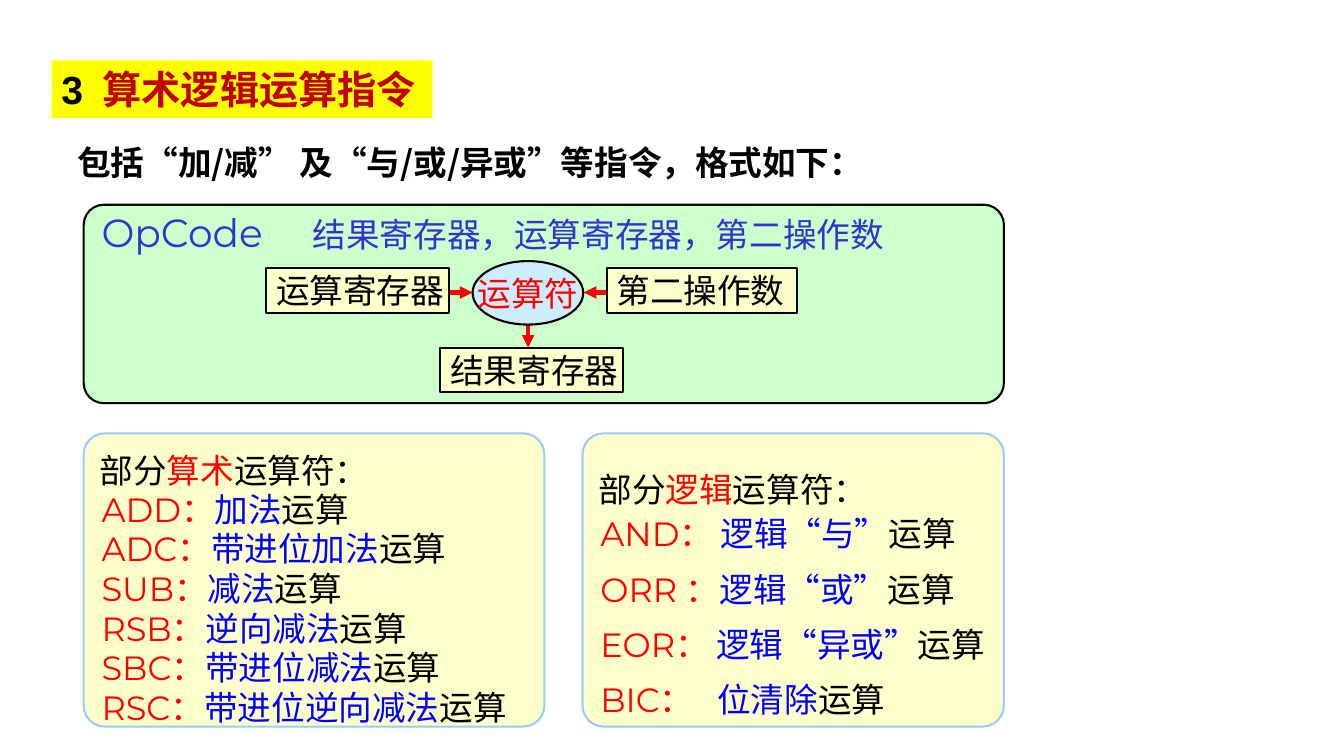
from lxml.etree import SubElement
from pptx import Presentation
from pptx.dml.color import RGBColor
from pptx.enum.shapes import MSO_CONNECTOR, MSO_SHAPE
from pptx.enum.text import MSO_ANCHOR, PP_ALIGN
from pptx.oxml.ns import qn
from pptx.util import Cm, Pt

BLACK = RGBColor(0x00, 0x00, 0x00)
RED = RGBColor(0xFF, 0x00, 0x00)
DARK_RED = RGBColor(0xC0, 0x00, 0x00)
BLUE = RGBColor(0x00, 0x00, 0xFF)
INDIGO = RGBColor(0x33, 0x33, 0xCC)
YELLOW = RGBColor(0xFF, 0xFF, 0x00)
CREAM = RGBColor(0xFF, 0xFF, 0xCC)
GREEN = RGBColor(0xCC, 0xFF, 0xCC)
PALE_BLUE = RGBColor(0xCC, 0xEC, 0xFF)
SKY = RGBColor(0x99, 0xCC, 0xFF)

CJK = "Noto Sans CJK SC"
SERIF = "Times New Roman"
LATIN = "Montserrat"


def add_box(kind, left, top, width, height, fill=None, line=None, radius=None):
    shape = slide.shapes.add_shape(kind, Cm(left), Cm(top), Cm(width), Cm(height))
    shape.shadow.inherit = False
    if fill is None:
        shape.fill.background()
    else:
        shape.fill.solid()
        shape.fill.fore_color.rgb = fill
    if line is None:
        shape.line.fill.background()
    else:
        shape.line.color.rgb = line
        shape.line.width = Pt(1.5)
    if radius is not None:
        shape.adjustments[0] = radius
    return shape


def write(shape, pieces, size=24, bold=False, align=PP_ALIGN.LEFT,
          anchor=MSO_ANCHOR.TOP, wrap=True, tab=None):
    frame = shape.text_frame
    frame.word_wrap = wrap
    frame.vertical_anchor = anchor
    paragraph = frame.paragraphs[0]
    paragraph.alignment = align
    if tab is not None:
        tab_list = SubElement(paragraph._p.get_or_add_pPr(), qn("a:tabLst"))
        SubElement(tab_list, qn("a:tab"), pos=str(Cm(tab)), algn="l")
    for text, font_name, color in pieces:
        run = paragraph.add_run()
        run.text = text
        run.font.size = Pt(size)
        run.font.bold = bold
        run.font.name = font_name
        run.font.color.rgb = color
        SubElement(run.font._element, qn("a:ea"), typeface=CJK)
    return paragraph


presentation = Presentation()
presentation.slide_width = Cm(33.87)
presentation.slide_height = Cm(19.05)
slide = presentation.slides.add_slide(presentation.slide_layouts[6])

# Title and introduction
title = add_box(MSO_SHAPE.RECTANGLE, 1.3, 1.52, 9.6, 1.45, YELLOW)
write(title, [("3\t", "Arial", BLACK), ("算术逻辑运算指令", CJK, DARK_RED)],
      size=28, bold=True, tab=1.04)
introduction = slide.shapes.add_textbox(Cm(1.7), Cm(3.45), Cm(23.39), Cm(1.27))
write(introduction, [("包括“加/减” 及“与/或/异或”等指令，格式如下：", CJK, BLACK)],
      bold=True, align=PP_ALIGN.JUSTIFY)

# Instruction format
add_box(MSO_SHAPE.ROUNDED_RECTANGLE, 2.11, 5.16, 23.19, 5, GREEN, BLACK, 0.101)
format_box = slide.shapes.add_textbox(Cm(2.31), Cm(5.13), Cm(22.96), Cm(1.17))
format_line = write(format_box, [
    ("OpCode\t", LATIN, INDIGO),
    ("结果寄存器，运算寄存器，第二操作数", LATIN, INDIGO),
], tab=5.32)
format_line.runs[0].font.size = Pt(28)

# Arrows between operands, operator and result
for x1, y1, x2, y2 in [(11.3, 7.37, 11.91, 7.37), (15.29, 7.37, 14.71, 7.37),
                       (13.31, 8.18, 13.31, 8.76)]:
    arrow = slide.shapes.add_connector(
        MSO_CONNECTOR.STRAIGHT, Cm(x1), Cm(y1), Cm(x2), Cm(y2))
    arrow.line.color.rgb = RED
    arrow.line.width = Pt(3)
    SubElement(arrow.line._get_or_add_ln(), qn("a:tailEnd"), type="triangle")
    SubElement(arrow._element.spPr, qn("a:effectLst"))

# Operands, result and operator
for text, left, top, width in [("运算寄存器", 6.71, 6.76, 4.6),
                               ("第二操作数", 15.29, 6.76, 4.8),
                               ("结果寄存器", 11.1, 8.76, 4.6)]:
    node = add_box(MSO_SHAPE.RECTANGLE, left, top, width, 1.12, CREAM, BLACK)
    write(node, [(text, SERIF, BLACK)], anchor=MSO_ANCHOR.MIDDLE, wrap=False)
operator = add_box(MSO_SHAPE.OVAL, 11.91, 6.58, 2.79, 1.6, PALE_BLUE, BLACK)
write(operator, [("运算符", SERIF, RED)], align=PP_ALIGN.CENTER,
      anchor=MSO_ANCHOR.MIDDLE, wrap=False)

# Panels: kind, left, width, heading inset, first row, row pitch, operations
panels = [
    ("算术", 2.11, 11.61, 0.25, 12.32, 1.0, [
        ("ADD：", "加法"),
        ("ADC：", "带进位加法"),
        ("SUB：", "减法"),
        ("RSB：", "逆向减法"),
        ("SBC：", "带进位减法"),
        ("RSC：", "带进位逆向减法"),
    ]),
    ("逻辑", 14.68, 10.62, 0.74, 12.75, 1.39, [
        ("AND： ", "逻辑“与”"),
        ("ORR ：", "逻辑“或”"),
        ("EOR： ", "逻辑“异或”"),
        ("BIC：\t", "位清除"),
    ]),
]
for kind, left, width, inset, first_row, pitch, operations in panels:
    panel = add_box(MSO_SHAPE.ROUNDED_RECTANGLE, left, 10.92, width, 7.39,
                    CREAM, SKY, 0.072)
    panel.text_frame.margin_top = Cm(inset)
    write(panel, [("部分", SERIF, BLACK), (kind, SERIF, RED),
                  ("运算符：", SERIF, BLACK)])
    for index, (code, meaning) in enumerate(operations):
        row = slide.shapes.add_textbox(
            Cm(left + 0.2), Cm(first_row + index * pitch), Cm(width - 0.2), Cm(pitch))
        row.text_frame.margin_right = 0
        write(row, [(code, LATIN, RED), (meaning, SERIF, BLUE),
                    ("运算", SERIF, BLACK)],
              anchor=MSO_ANCHOR.MIDDLE, tab=2.95 if "\t" in code else None)

presentation.save("out.pptx")
